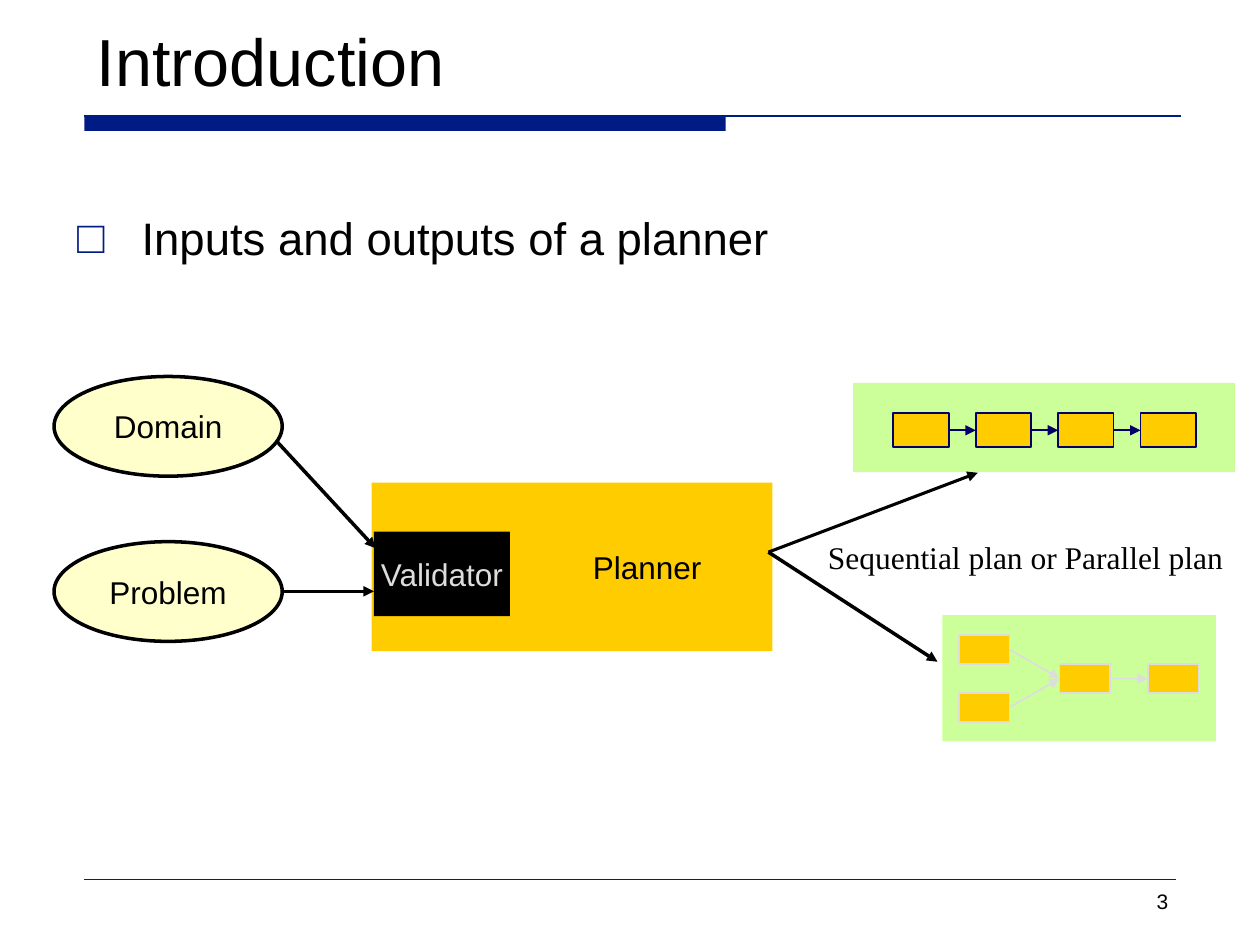
from lxml import etree
from pptx import Presentation
from pptx.dml.color import RGBColor
from pptx.enum.shapes import MSO_CONNECTOR, MSO_SHAPE
from pptx.enum.text import MSO_ANCHOR, MSO_AUTO_SIZE, PP_ALIGN
from pptx.oxml import parse_xml
from pptx.oxml.ns import nsdecls, qn
from pptx.util import Cm, Pt

NAVY, BLACK, GOLD, GREEN = "001D84", "000000", "FFCC00", "CCFF99"
SEQUENCE_LINE, PARALLEL_LINE = "000066", "DDDDDD"


def color(hex_string):
    return RGBColor.from_string(hex_string)


prs = Presentation()
prs.slide_width, prs.slide_height = Cm(25.4), Cm(19.05)
slide = prs.slides.add_slide(prs.slide_layouts[1])
shapes = slide.shapes


def add_box(kind, x, y, width, height, fill, line=None, weight=1):
    box = shapes.add_shape(kind, Cm(x), Cm(y), Cm(width), Cm(height))
    box.shadow.inherit = False
    box.fill.solid()
    box.fill.fore_color.rgb = color(fill)
    if line:
        box.line.color.rgb = color(line)
        box.line.width = Pt(weight)
    else:
        box.line.fill.background()
    return box


def add_line(x1, y1, x2, y2, line, weight, arrow=True):
    connector = shapes.add_connector(
        MSO_CONNECTOR.STRAIGHT, Cm(x1), Cm(y1), Cm(x2), Cm(y2))
    connector.line.color.rgb = color(line)
    connector.line.width = Pt(weight)
    if arrow:
        etree.SubElement(connector.line._get_or_add_ln(), qn("a:tailEnd"), type="triangle")
    etree.SubElement(connector._element.spPr, qn("a:effectLst"))
    return connector


# Rules above and below the content
add_box(MSO_SHAPE.RECTANGLE, 1.7, 2.34, 12.93, 0.3, "001C84")
add_line(1.7, 2.34, 23.8, 2.34, NAVY, 0.75, arrow=False)
add_line(1.7, 17.73, 23.7, 17.73, NAVY, 0.25, arrow=False)

# Title and bullet
heading, bullet = shapes.title, slide.placeholders[1]
for holder, text, size, anchor, (x, y, width, height) in (
    (heading, "Introduction", 38, MSO_ANCHOR.BOTTOM, (1.7, 0.43, 22.23, 1.7)),
    (bullet, "Inputs and outputs of a planner", 26, MSO_ANCHOR.TOP, (1.3, 4.11, 23.47, 1.8)),
):
    holder.left, holder.top, holder.width, holder.height = Cm(x), Cm(y), Cm(width), Cm(height)
    frame = holder.text_frame
    frame.text = text
    frame.auto_size = MSO_AUTO_SIZE.NONE
    frame.vertical_anchor = anchor
    paragraph = frame.paragraphs[0]
    paragraph.alignment = PP_ALIGN.LEFT
    paragraph.font.name, paragraph.font.size = "Arial", Pt(size)
    paragraph.font.color.rgb = color(BLACK)

bullet_paragraph = bullet.text_frame.paragraphs[0]
bullet_paragraph.space_before = Pt(5)
bullet_format = bullet_paragraph._p.get_or_add_pPr()
bullet_format.set("marL", str(Cm(1.3)))
bullet_format.set("indent", str(-Cm(1.3)))
bullet_marks = (
    f'<a:buClr {nsdecls("a")}><a:srgbClr val="{NAVY}"/></a:buClr>',
    f'<a:buChar {nsdecls("a")} char="□"/>',
)
for position, mark in enumerate(bullet_marks, start=1):
    bullet_format.insert(position, parse_xml(mark))

# Planner with its inputs
planner = add_box(MSO_SHAPE.RECTANGLE, 7.49, 9.73, 8.08, 3.4, GOLD)
add_line(5.36, 8.66, 7.57, 11.05, BLACK, 2)
add_line(5.69, 11.92, 7.54, 11.92, BLACK, 2)
domain, problem = [
    add_box(MSO_SHAPE.OVAL, 1.09, y, 4.6, 2.01, "FFFFCC", BLACK, 2) for y in (7.59, 10.92)]
validator = add_box(MSO_SHAPE.RECTANGLE, 7.54, 10.72, 2.74, 1.7, BLACK)

# Sequential plan
add_box(MSO_SHAPE.RECTANGLE, 17.2, 7.72, 7.7, 1.8, GREEN)
sequential_steps = [
    add_box(MSO_SHAPE.RECTANGLE, 18.01 + 1.66 * i, 8.33, 1.12, 0.69, GOLD, SEQUENCE_LINE)
    for i in range(4)]

# Parallel plan
add_box(MSO_SHAPE.RECTANGLE, 19, 12.4, 5.51, 2.54, GREEN)
upper, lower, join, last = [
    add_box(MSO_SHAPE.RECTANGLE, x, y, 1.02, 0.58, GOLD, PARALLEL_LINE)
    for x, y in ((19.33, 12.8), (19.33, 13.97), (21.36, 13.39), (23.14, 13.39))]

step_links = [(a, b, SEQUENCE_LINE) for a, b in zip(sequential_steps, sequential_steps[1:])]
step_links += [(a, b, PARALLEL_LINE) for a, b in ((lower, join), (upper, join), (join, last))]
for source, target, line in step_links:
    link = add_line(0, 0, 1, 1, line, 1)
    link.begin_connect(source, 3)
    link.end_connect(target, 1)

# Planner outputs
add_line(15.49, 11.13, 19.71, 9.53, BLACK, 1.75)
add_line(15.49, 11.13, 18.9, 13.34, BLACK, 2)

# Labels
caption = shapes.add_textbox(Cm(16.41), Cm(10.72), Cm(8.53), Cm(1.02))
page_number = shapes.add_textbox(Cm(21.39), Cm(17.78), Cm(2.41), Cm(0.76))
for holder, text, font, size, ink, wrap, align in (
    (planner, "Planner", "Arial", 18, BLACK, False, PP_ALIGN.CENTER),
    (domain, "Domain", "Arial", 18, BLACK, True, PP_ALIGN.CENTER),
    (problem, "Problem", "Arial", 18, BLACK, True, PP_ALIGN.CENTER),
    (validator, "Validator", "Arial", 18, "DDDDDD", False, PP_ALIGN.CENTER),
    (caption, "Sequential plan or Parallel plan", "Times New Roman", 18, BLACK, False,
     PP_ALIGN.CENTER),
    (page_number, "3", "Arial", 12, BLACK, True, PP_ALIGN.RIGHT),
):
    frame = holder.text_frame
    frame.text = text
    frame.word_wrap = wrap
    paragraph = frame.paragraphs[0]
    paragraph.alignment = align
    paragraph.font.name, paragraph.font.size = font, Pt(size)
    paragraph.font.color.rgb = color(ink)

# Keep the planner's label clear of the validator
planner.text_frame.word_wrap = True
planner.text_frame.margin_left = Cm(3.28)

prs.save("out.pptx")
